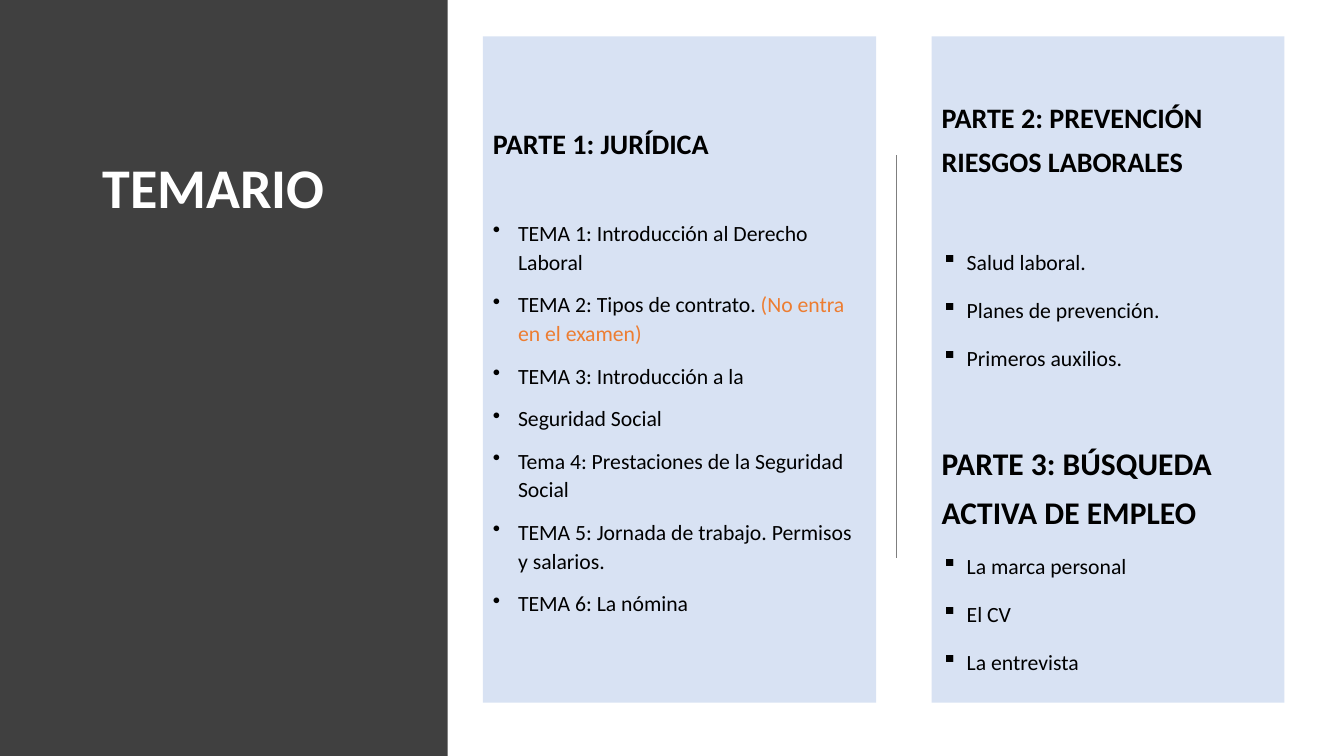
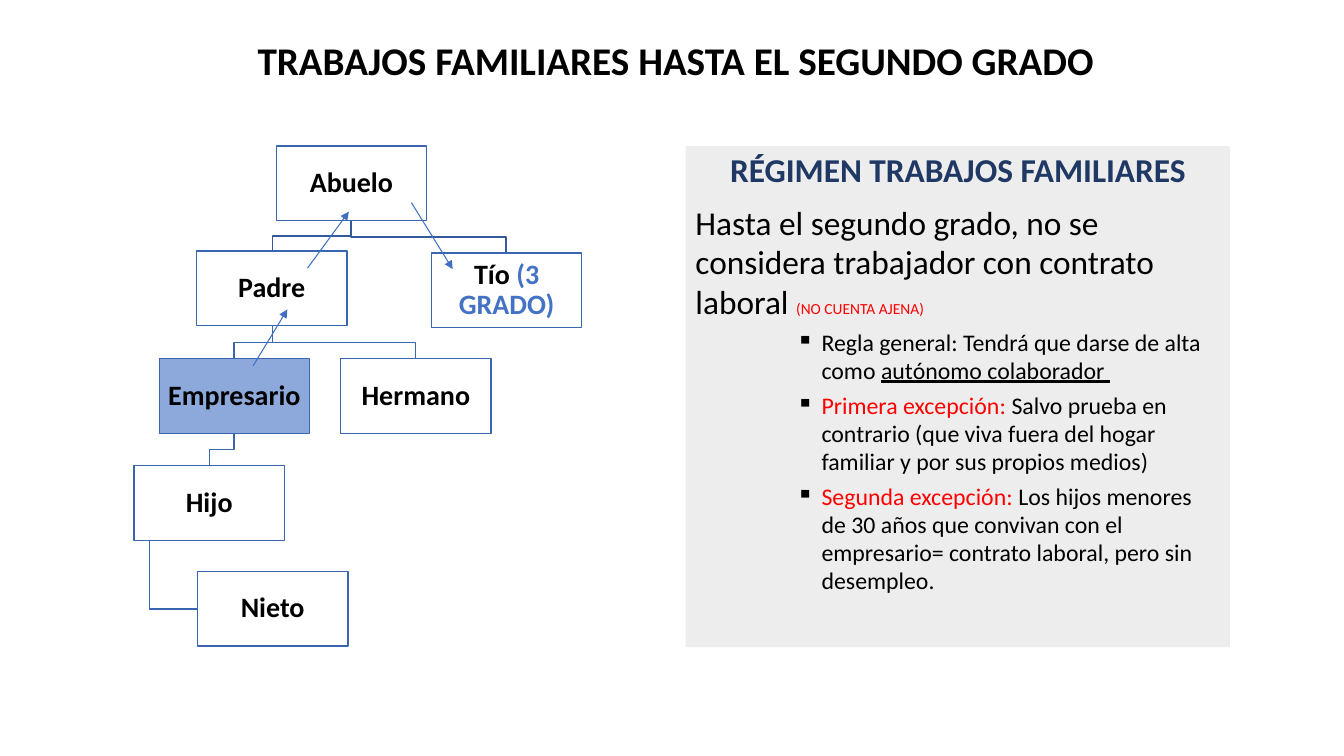
from lxml import etree
from pptx import Presentation
from pptx.dml.color import RGBColor
from pptx.enum.shapes import MSO_CONNECTOR, MSO_SHAPE
from pptx.enum.text import MSO_ANCHOR, PP_ALIGN
from pptx.oxml.ns import qn
from pptx.util import Emu, Pt

RECTANGLE = MSO_SHAPE.RECTANGLE
STRAIGHT = MSO_CONNECTOR.STRAIGHT
TOP, MIDDLE = MSO_ANCHOR.TOP, MSO_ANCHOR.MIDDLE
LEFT, CENTER = PP_ALIGN.LEFT, PP_ALIGN.CENTER

PX = 9144
SLIDE_SIZE = (1333, 750)
FONT = "Calibri"
TEXT_INSETS = (10, 5, 10, 5)
COLORS = {
    "black": "000000", "white": "FFFFFF", "band": "404040",
    "panel": "D8E2F3", "rule_panel": "EDEDED", "divider": "7F7F7F",
    "orange": "ED7D31", "red": "FF0000", "navy": "1F3864",
    "box_line": "3A66B1", "top_link": "345A99", "arrow": "3F6FC3",
    "highlight": "8DA9DB", "degree": "4472C4",
}

BAND = (0, 0, 444, 750)
SYLLABUS_TITLE = ("TEMARIO", (92, 154, 317, 477))
DIVIDER = ((889, 154), (889, 554))
LEGAL_HEADING = "PARTE 1: JURÍDICA"
LEGAL_TOPICS = [
    "TEMA 1: Introducción al Derecho Laboral",
    [("TEMA 2: Tipos de contrato. ", {}),
     ("(No entra en el examen)", {"color": "orange"})],
    "TEMA 3: Introducción a la",
    "Seguridad Social",
    "Tema 4: Prestaciones de la Seguridad Social",
    "TEMA 5: Jornada de trabajo. Permisos y salarios.",
    "TEMA 6: La nómina",
]
PREVENTION_HEADING = "PARTE 2: PREVENCIÓN RIESGOS LABORALES"
PREVENTION_TOPICS = ["Salud laboral.", "Planes de prevención.", "Primeros auxilios."]
JOB_HEADING = "PARTE 3: BÚSQUEDA ACTIVA DE EMPLEO"
JOB_TOPICS = ["La marca personal", "El CV", "La entrevista"]
LEGAL_PANEL = (479, 36, 390, 661)
PREVENTION_PANEL = (924, 36, 350, 661)

FAMILY_TITLE = ("TRABAJOS FAMILIARES HASTA EL SEGUNDO GRADO", (120, 31, 1100, 63))
BOX_SIZE = (149, 74)
RELATIVES = {
    "Abuelo": (274, 145),
    "Padre": (195, 249),
    "Empresario": (158, 356),
    "Hijo": (133, 462),
    "Nieto": (196, 567),
    "Hermano": (338, 356),
    "Tío": (428, 251),
}
RELATIVE_RUNS = {"Tío": [("Tío ", {}), ("(3 GRADO)", {"color": "degree"})]}
FAMILY_LINKS = [
    ("Abuelo", "Tío", "top_link"),
    ("Padre", "Hermano", "box_line"),
    ("Empresario", "Hijo", "box_line"),
    ("Padre", "Empresario", "box_line"),
    ("Abuelo", "Padre", "top_link"),
]
SIDE_LINK = ("Hijo", "Nieto", "box_line")
SIDE_LINK_INDENT = 15
DEGREE_ARROWS = [
    ((251, 363), (285, 307)),
    ((305, 266), (346, 210)),
    ((408, 201), (449, 267)),
]
RULES_PANEL = (680, 145, 540, 497)
RULES_HEADING = "RÉGIMEN TRABAJOS FAMILIARES"
RULES_INTRO = [
    ("Hasta el segundo grado, no se considera trabajador con contrato laboral ", {}),
    ("(NO CUENTA AJENA)", {"size": 11, "color": "red"}),
]
RULES = [
    [("Regla general: Tendrá que darse de alta como ", {}),
     ("autónomo colaborador ", {"underline": True})],
    [("Primera excepción: ", {"color": "red"}),
     ("Salvo prueba en contrario (que viva fuera del hogar familiar "
      "y por sus propios medios)", {})],
    [("Segunda excepción: ", {"color": "red"}),
     ("Los hijos menores de 30 años que convivan con el empresario= "
      "contrato laboral, pero sin desempleo.", {})],
]


def px(value):
    return Emu(round(value * PX))


def rgb(name):
    return RGBColor.from_string(COLORS[name])


def add_bullet(paragraph, character, indent, hanging):
    properties = paragraph._p.get_or_add_pPr()
    properties.set("marL", str(px(indent)))
    properties.set("indent", str(-px(hanging)))
    color = etree.SubElement(properties, qn("a:buClr"))
    etree.SubElement(color, qn("a:srgbClr"), val=COLORS["black"])
    etree.SubElement(properties, qn("a:buChar"), char=character)


def add_paragraph(frame, content, *, size, color="black", bold=False, align=LEFT,
                  line_spacing=1.0, before=0, bullet=None, indent=25):
    is_first = not frame.paragraphs[0].runs
    paragraph = frame.paragraphs[0] if is_first else frame.add_paragraph()
    paragraph.alignment = align
    paragraph.line_spacing = line_spacing
    paragraph.space_before = Pt(before)
    if bullet:
        add_bullet(paragraph, bullet, indent, 25)
    runs = [(content, {})] if isinstance(content, str) else content
    for text, changes in runs:
        run = paragraph.add_run()
        run.text = text
        run.font.name = FONT
        run.font.size = Pt(changes.get("size", size))
        run.font.bold = bold
        run.font.underline = changes.get("underline")
        run.font.color.rgb = rgb(changes.get("color", color))


def set_frame(shape, anchor=TOP, insets=TEXT_INSETS):
    frame = shape.text_frame
    frame.word_wrap = True
    frame.vertical_anchor = anchor
    (frame.margin_left, frame.margin_top,
     frame.margin_right, frame.margin_bottom) = map(px, insets)
    return frame


def add_rectangle(slide, bounds, fill, line=None):
    shape = slide.shapes.add_shape(RECTANGLE, *map(px, bounds))
    shape.shadow.inherit = False
    shape.fill.solid()
    shape.fill.fore_color.rgb = rgb(fill)
    if line:
        shape.line.color.rgb = rgb(line)
        shape.line.width = Pt(1)
    else:
        shape.line.fill.background()
    return shape


def add_title(slide, title, anchor=TOP, **text_format):
    text, bounds = title
    frame = set_frame(slide.shapes.add_textbox(*map(px, bounds)), anchor)
    add_paragraph(frame, text, bold=True, line_spacing=0.9, **text_format)


def add_line(slide, start, end, color, width, arrow=False):
    connector = slide.shapes.add_connector(STRAIGHT, *map(px, start + end))
    connector.line.color.rgb = rgb(color)
    connector.line.width = Pt(width)
    if arrow:
        etree.SubElement(connector.line._get_or_add_ln(), qn("a:tailEnd"), type="triangle")
    etree.SubElement(connector._element.spPr, qn("a:effectLst"))


def add_polyline(slide, points, color):
    builder = slide.shapes.build_freeform(*points[0], scale=PX)
    builder.add_line_segments(points[1:], close=False)
    shape = builder.convert_to_shape()
    shape.shadow.inherit = False
    shape.fill.background()
    shape.line.color.rgb = rgb(color)
    shape.line.width = Pt(1)


def add_topics(frame, topics, bullet, line_spacing, first_gap=10):
    for index, topic in enumerate(topics):
        add_paragraph(frame, topic, size=15.5, bullet=bullet, line_spacing=line_spacing,
                      before=10 if index else first_gap)


def build_syllabus(slide):
    add_rectangle(slide, BAND, "band")
    add_title(slide, SYLLABUS_TITLE, size=40, color="white")

    frame = set_frame(add_rectangle(slide, LEGAL_PANEL, "panel"), MIDDLE)
    add_paragraph(frame, LEGAL_HEADING, size=20.1, bold=True, line_spacing=1.1)
    add_topics(frame, LEGAL_TOPICS, "•", 1.1, first_gap=41)

    add_line(slide, *DIVIDER, "divider", 1)

    frame = set_frame(add_rectangle(slide, PREVENTION_PANEL, "panel"), insets=(10, 54, 10, 5))
    add_paragraph(frame, PREVENTION_HEADING, size=20.1, bold=True, line_spacing=1.3)
    add_topics(frame, PREVENTION_TOPICS, "▪", 1.3, first_gap=44.6)
    add_paragraph(frame, JOB_HEADING, size=22.5, bold=True, line_spacing=1.3, before=44.6)
    add_topics(frame, JOB_TOPICS, "▪", 1.3)


def add_family_tree(slide):
    width, height = BOX_SIZE
    for parent, child, color in FAMILY_LINKS:
        start_x, start_y = RELATIVES[parent][0] + width / 2, RELATIVES[parent][1] + height
        end_x, end_y = RELATIVES[child][0] + width / 2, RELATIVES[child][1]
        middle_y = (start_y + end_y) / 2
        add_polyline(slide, [(start_x, start_y), (start_x, middle_y),
                             (end_x, middle_y), (end_x, end_y)], color)

    parent, child, color = SIDE_LINK
    trunk_x = RELATIVES[parent][0] + SIDE_LINK_INDENT
    child_x, child_y = RELATIVES[child]
    child_middle = child_y + height / 2
    add_polyline(slide, [(trunk_x, RELATIVES[parent][1] + height),
                         (trunk_x, child_middle), (child_x, child_middle)], color)

    for name, position in RELATIVES.items():
        fill = "highlight" if name == "Empresario" else "white"
        box = add_rectangle(slide, position + BOX_SIZE, fill, "box_line")
        frame = set_frame(box, MIDDLE, (1, 1, 1, 1))
        add_paragraph(frame, RELATIVE_RUNS.get(name, name), size=20, bold=True,
                      align=CENTER, line_spacing=0.9)


def build_family_work(slide):
    add_title(slide, FAMILY_TITLE, MIDDLE, size=28, align=CENTER)
    add_family_tree(slide)

    frame = set_frame(add_rectangle(slide, RULES_PANEL, "rule_panel"))
    add_paragraph(frame, RULES_HEADING, size=23.8, color="navy", bold=True,
                  align=CENTER, line_spacing=0.98)
    add_paragraph(frame, RULES_INTRO, size=23.8, line_spacing=0.98, before=10)
    for rule in RULES:
        add_paragraph(frame, rule, size=17, line_spacing=0.98, before=5,
                      bullet="▪", indent=125)

    for start, end in DEGREE_ARROWS:
        add_line(slide, start, end, "arrow", 0.75, arrow=True)


def main():
    presentation = Presentation()
    presentation.slide_width, presentation.slide_height = map(px, SLIDE_SIZE)
    blank_layout = presentation.slide_layouts[6]
    for build in (build_syllabus, build_family_work):
        build(presentation.slides.add_slide(blank_layout))
    presentation.save("out.pptx")


if __name__ == "__main__":
    main()
